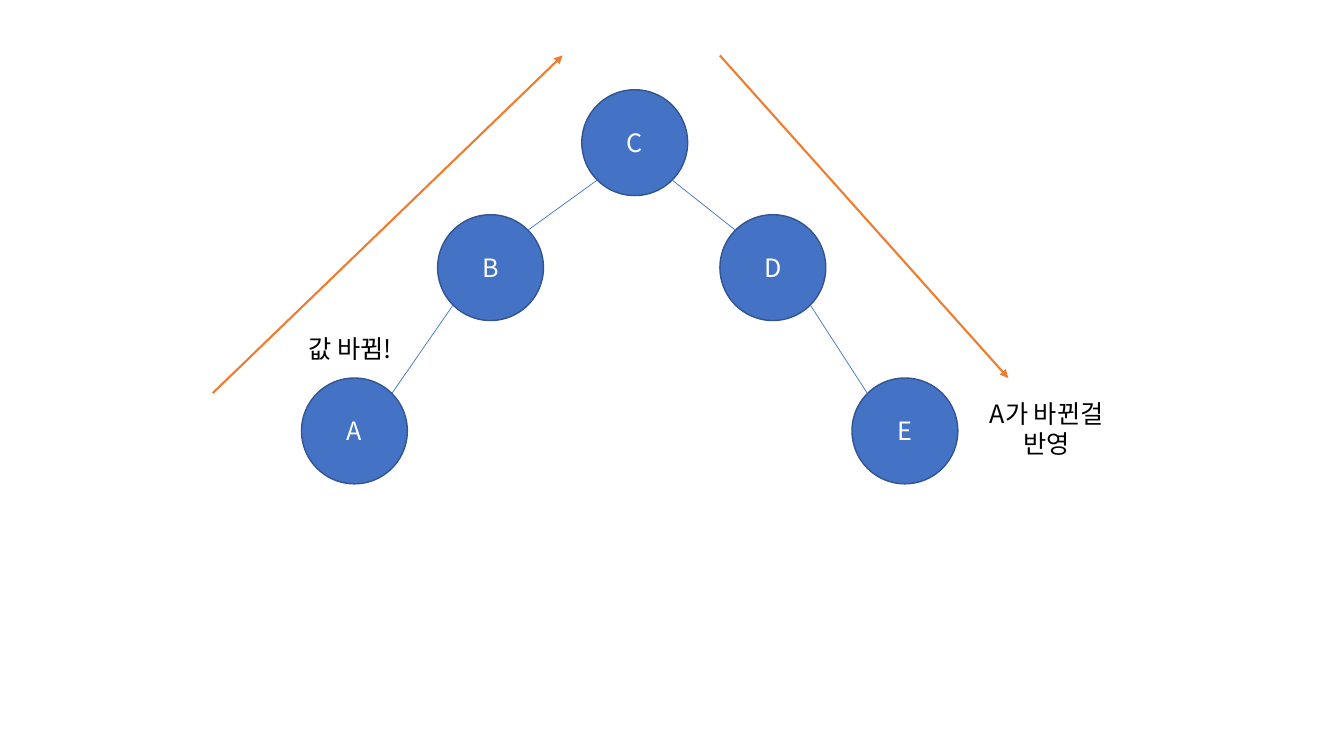
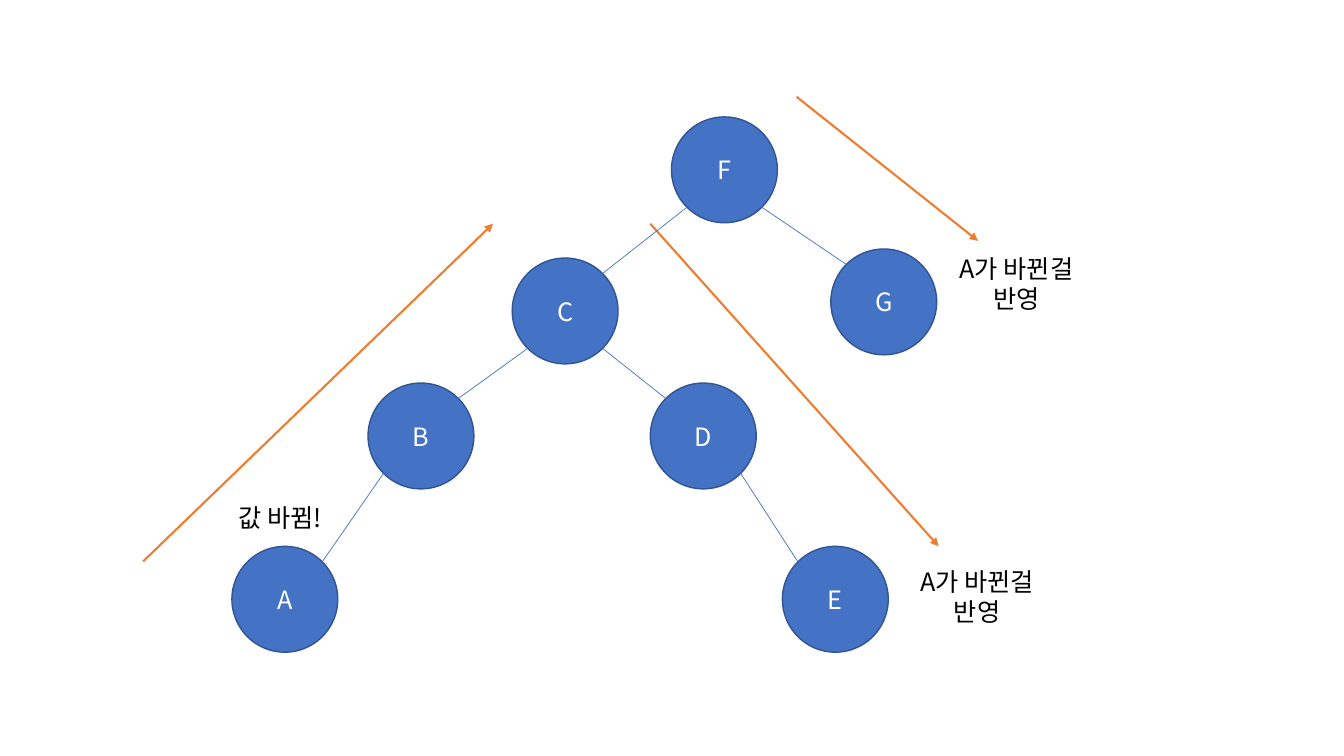
from math import sqrt

from pptx import Presentation
from pptx.dml.color import RGBColor as RGB
from pptx.enum.shapes import MSO_CONNECTOR as CXN, MSO_SHAPE as SHAPE
from pptx.enum.text import MSO_ANCHOR as ANCHOR, MSO_AUTO_SIZE as AUTO, PP_ALIGN as ALIGN
from pptx.oxml.ns import qn
from pptx.util import Pt
from lxml.etree import SubElement

PX = 9144
FONT = "Noto Sans CJK KR"
COLORS = {"node": "4472C4", "outline": "325491", "arrow": "ED7D31",
          "light": "FFFFFF", "dark": "000000"}
DIAMETER = 105
CHANGED = "값 바뀜!"
APPLIED = "A가 바뀐걸 반영"


class TreeDeck:
    """Style, current slide and drawing methods for tree diagrams."""

    def __init__(self):
        self.prs = Presentation()
        self.prs.slide_width, self.prs.slide_height = 1333 * PX, 750 * PX

    def new_slide(self):
        self.slide = self.prs.slides.add_slide(self.prs.slide_layouts[6])
        self.centers = {}

    def add_text(self, sp, text, color):
        tf = sp.text_frame
        tf.word_wrap = True
        p = tf.paragraphs[0]
        p.alignment = ALIGN.CENTER
        r = p.add_run()
        r.text = text
        r.font.size = Pt(18)
        r.font.name = FONT
        r.font.color.rgb = RGB.from_string(COLORS[color])
        SubElement(r.font._element, qn("a:ea"), typeface=FONT)
        return tf

    def node(self, name, x, y):
        sp = self.slide.shapes.add_shape(
            SHAPE.OVAL, x * PX, y * PX, DIAMETER * PX, DIAMETER * PX)
        sp.shadow.inherit = False
        sp.fill.solid()
        sp.fill.fore_color.rgb = RGB.from_string(COLORS["node"])
        sp.line.color.rgb = RGB.from_string(COLORS["outline"])
        sp.line.width = Pt(1)
        self.add_text(sp, name, "light").vertical_anchor = ANCHOR.MIDDLE
        self.centers[name] = (x + DIAMETER / 2, y + DIAMETER / 2)

    def line(self, x1, y1, x2, y2, color, width):
        cxn = self.slide.shapes.add_connector(
            CXN.STRAIGHT, *(round(v * PX) for v in (x1, y1, x2, y2)))
        cxn.line.color.rgb = RGB.from_string(COLORS[color])
        cxn.line.width = Pt(width)
        SubElement(cxn._element.spPr, qn("a:effectLst"))
        return cxn

    def edge(self, parent, child):
        (px, py), (cx, cy) = self.centers[parent], self.centers[child]
        reach = DIAMETER / 2 / sqrt(2)
        dx = reach if cx > px else -reach
        self.line(px + dx, py + reach, cx - dx, cy - reach, "node", 0.5)

    def arrow(self, x1, y1, x2, y2):
        cxn = self.line(x1, y1, x2, y2, "arrow", 1.5)
        ln = cxn._element.spPr.find(qn("a:ln"))
        SubElement(ln, qn("a:tailEnd"), type="triangle")

    def label(self, text, x, y, height):
        sp = self.slide.shapes.add_textbox(x * PX, y * PX, 168 * PX, height * PX)
        self.add_text(sp, text, "dark").auto_size = AUTO.SHAPE_TO_FIT_TEXT

    def subtree(self, dx, dy):
        nodes = {"C": (577, 89), "B": (434, 213), "A": (299, 375),
                 "D": (714, 213), "E": (845, 375)}
        for name, (x, y) in nodes.items():
            self.node(name, x + dx, y + dy)
        for parent, child in ("CB", "BA", "CD", "DE"):
            self.edge(parent, child)
        self.label(CHANGED, 263 + dx, 326 + dy, 40)
        self.arrow(211 + dx, 390 + dy, 558 + dx, 55 + dy)
        self.arrow(714 + dx, 55 + dy, 1000 + dx, 375 + dy)
        self.label(APPLIED, 954 + dx, 390 + dy, 71)


def main():
    deck = TreeDeck()

    deck.new_slide()
    deck.subtree(0, 0)

    deck.new_slide()
    deck.subtree(-69, 167)
    deck.node("F", 666, 116)
    deck.node("G", 824, 247)
    for child in "CG":
        deck.edge("F", child)
    deck.arrow(790, 96, 970, 239)
    deck.label(APPLIED, 924, 246, 71)

    deck.prs.save("out.pptx")


if __name__ == "__main__":
    main()
